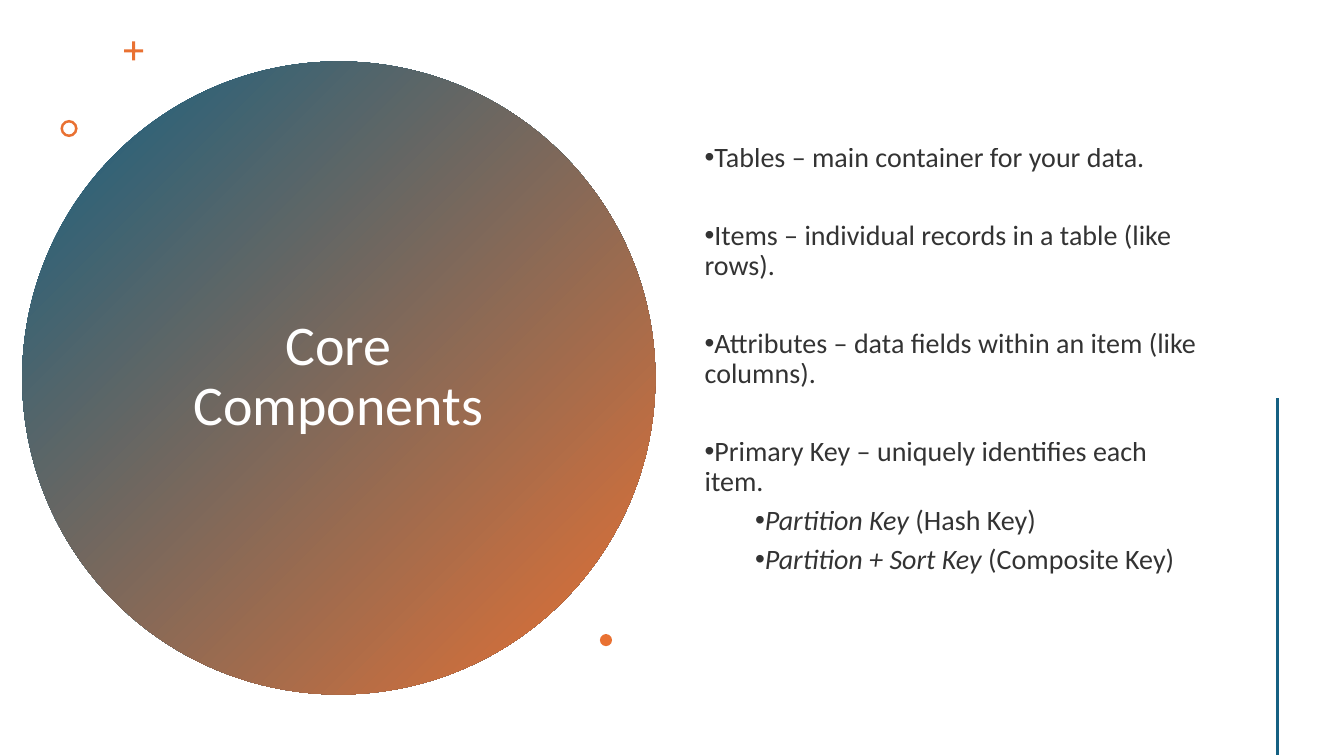
from dataclasses import dataclass

from lxml import etree
from pptx import Presentation
from pptx import util as u
from pptx.dml.color import RGBColor
from pptx.enum import shapes, text
from pptx.oxml import ns


@dataclass(frozen=True)
class Theme:
    blue: RGBColor = RGBColor.from_string("156082")
    orange: RGBColor = RGBColor.from_string("E97132")
    white: RGBColor = RGBColor.from_string("FFFFFF")
    black: RGBColor = RGBColor.from_string("000000")
    body_opacity: int = 80
    font: str = "Calibri"
    title_size: int = 40
    body_size: int = 20
    line_spacing: float = 0.9
    gap: int = 6
    section_gap: int = 34


class SlideBuilder:
    def __init__(self, page, theme):
        self.page = page
        self.theme = theme

    def shape(self, kind, left, top, size, adjustment=None):
        """Add a square, orange, unoutlined preset shape."""
        mark = self.page.shapes.add_shape(
            kind, u.Inches(left), u.Inches(top), u.Inches(size), u.Inches(size))
        mark.shadow.inherit = False
        mark.line.fill.background()
        mark.fill.solid()
        mark.fill.fore_color.rgb = self.theme.orange
        if adjustment is not None:
            mark.adjustments[0] = adjustment
        return mark

    def gradient_circle(self, left, top, size):
        circle = self.shape(shapes.MSO_SHAPE.OVAL, left, top, size)
        circle.fill.gradient()
        circle.fill.gradient_angle = 315
        colors = (self.theme.blue, self.theme.orange)
        for position, (stop, color) in enumerate(zip(circle.fill.gradient_stops, colors)):
            stop.position = position
            stop.color.rgb = color

    def text_frame(self, left, top, width, height):
        box = self.page.shapes.add_textbox(
            u.Inches(left), u.Inches(top), u.Inches(width), u.Inches(height))
        frame = box.text_frame
        frame.word_wrap = True
        frame.vertical_anchor = text.MSO_ANCHOR.MIDDLE
        return frame

    def style_span(self, span, size, color, opacity=100):
        span.font.name = self.theme.font
        span.font.size = u.Pt(size)
        span.font.color.rgb = color
        if opacity < 100:
            for value in span.font.fill._xPr.iter(ns.qn("a:srgbClr")):
                etree.SubElement(value, ns.qn("a:alpha"), val=str(opacity * 1000))

    def title(self, words, *place):
        para = self.text_frame(*place).paragraphs[0]
        para.text = words
        para.alignment = text.PP_ALIGN.CENTER
        para.line_spacing = self.theme.line_spacing
        self.style_span(para.runs[0], self.theme.title_size, self.theme.white)

    def bullets(self, items, *place, bottom_inset):
        """Each item is (level, italic lead, plain words, space after)."""
        frame = self.text_frame(*place)
        frame.margin_bottom = u.Inches(bottom_inset)
        for index, (level, lead, words, space_after) in enumerate(items):
            para = frame.add_paragraph() if index else frame.paragraphs[0]
            para.level = level
            para.line_spacing = self.theme.line_spacing
            para.space_after = u.Pt(space_after)
            properties = para._p.get_or_add_pPr()
            properties.set("marL", str(u.Inches(0.5 * level)))
            properties.set("indent", "0")
            etree.SubElement(properties, ns.qn("a:buFont"), typeface="Arial")
            etree.SubElement(properties, ns.qn("a:buChar"), char="•")
            for part, italic in ((lead, True), (words, False)):
                if part:
                    span = para.add_run()
                    span.text = part
                    span.font.italic = italic
                    self.style_span(span, self.theme.body_size, self.theme.black,
                                    self.theme.body_opacity)

    def vertical_line(self, x, top, bottom):
        line = self.page.shapes.add_connector(
            shapes.MSO_CONNECTOR.STRAIGHT,
            u.Inches(x), u.Inches(top), u.Inches(x), u.Inches(bottom))
        line.line.color.rgb = self.theme.blue
        line.line.width = u.Pt(2)
        etree.SubElement(line._element.spPr, ns.qn("a:effectLst"))


def main():
    deck = Presentation()
    deck.slide_width, deck.slide_height = u.Inches(13.33), u.Inches(7.5)
    theme = Theme()
    slide = SlideBuilder(deck.slides.add_slide(deck.slide_layouts[6]), theme)

    slide.gradient_circle(0.22, 0.61, 6.28)
    slide.title("Core Components", 1.36, 1.41, 3.99, 4.67)
    slide.shape(shapes.MSO_SHAPE.CROSS, 1.23, 0.41, 0.19, adjustment=0.42)
    slide.shape(shapes.MSO_SHAPE.DONUT, 0.6, 1.19, 0.17, adjustment=0.15)
    components = [
        (0, "", "Tables – main container for your data.", theme.section_gap),
        (0, "", "Items – individual records in a table (like rows).", theme.section_gap),
        (0, "", "Attributes – data fields within an item (like columns).", theme.section_gap),
        (0, "", "Primary Key – uniquely identifies each item.", theme.gap),
        (1, "Partition Key", " (Hash Key)", theme.gap),
        (1, "Partition + Sort Key", " (Composite Key)", theme.gap),
    ]
    slide.bullets(components, 6.89, 0.57, 5.22, 6.38, bottom_inset=0.44)
    slide.shape(shapes.MSO_SHAPE.OVAL, 5.95, 6.29, 0.12)
    slide.vertical_line(12.67, 3.95, 7.49)

    deck.save("out.pptx")


if __name__ == "__main__":
    main()
